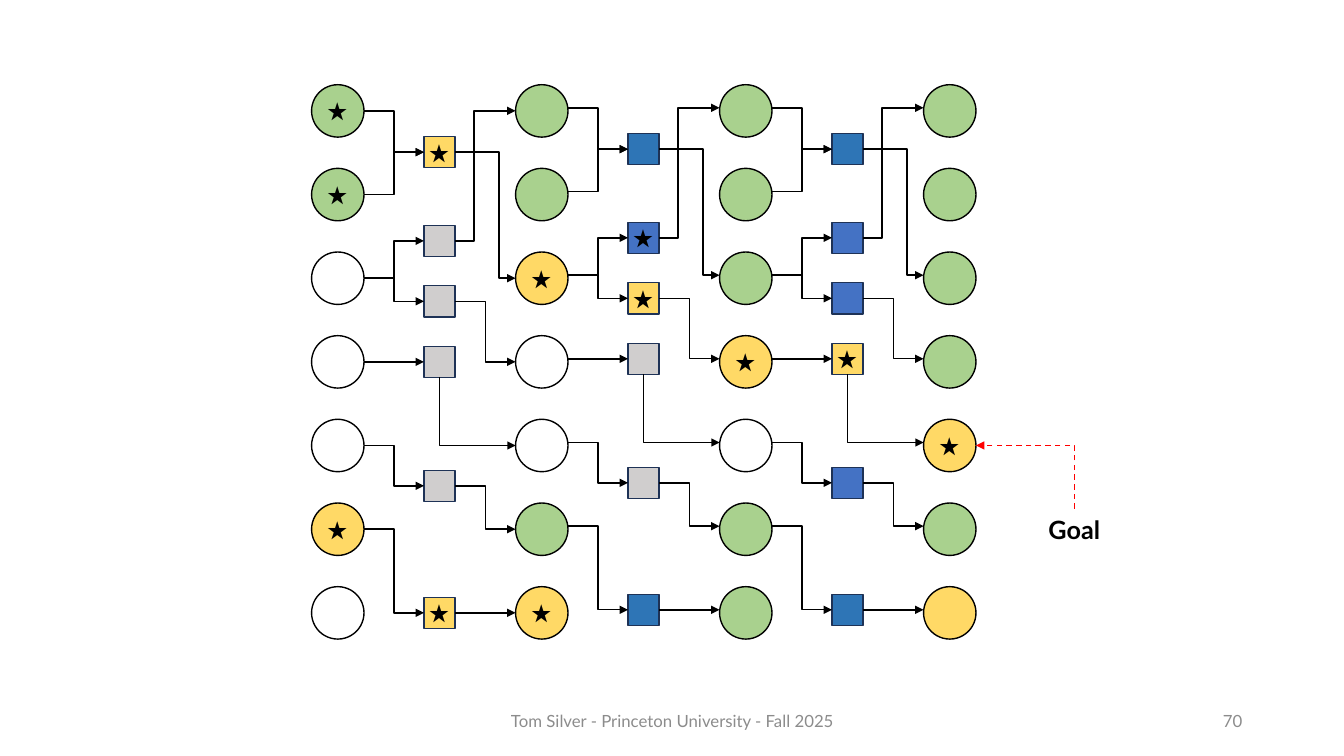
from lxml.etree import SubElement
from pptx import Presentation
from pptx.dml.color import RGBColor
from pptx.enum.dml import MSO_LINE
from pptx.enum.shapes import MSO_CONNECTOR as Link, MSO_SHAPE as Shape
from pptx.enum.text import MSO_ANCHOR as Anchor, PP_ALIGN as Align
from pptx.oxml.ns import qn
from pptx.util import Inches, Pt

BLACK = RGBColor(0x00, 0x00, 0x00)
WHITE = RGBColor(0xFF, 0xFF, 0xFF)
GREEN = RGBColor(0xA9, 0xD1, 0x8E)
YELLOW = RGBColor(0xFF, 0xD9, 0x66)
SILVER = RGBColor(0xD0, 0xCE, 0xCE)
BLUE = RGBColor(0x2E, 0x75, 0xB6)
ROYAL = RGBColor(0x44, 0x72, 0xC4)
NAVY = RGBColor(0x1E, 0x32, 0x56)
RED = RGBColor(0xFF, 0x00, 0x00)
GRAY = RGBColor(0x8C, 0x8C, 0x8C)
FILLS = {"W": WHITE, "G": GREEN, "Y": YELLOW, "S": SILVER, "B": BLUE, "R": ROYAL}

DISC, BOX = 0.52, 0.31
FACTS = [("GGWWWYW", (0, 1, 5)), ("GGYWWGY", (2, 6)),
         ("GGGYWGG", (3,)), ("GGGGYGY", (4,))]
STEPS = [("YSSSSY", (0, 5), 0), ("BRYSSB", (1, 2), 0.03), ("BRRYRB", (3,), 0.03)]
COLS = [3.35 + 6.07 * i / 3 for i in range(4)]
ROWS = [round(1.1 + 0.83 * i, 2) for i in range(7)]
MIDS = [1.51, 2.39, 2.99, 3.59, 4.82, 6.08]
NEEDS = [(0, 0), (1, 0), (2, 1), (2, 2), (3, 3), (4, 4), (5, 5)]
GIVES = [(0, 2, 0.724), (1, 0, 0.31), (2, 3, 0.5), (4, 5, 0.5), (5, 6, 0.5)]


class Board:
    """Holds the style and the slide, and draws each kind of element."""

    def __init__(self, slide):
        self.shapes = slide.shapes
        self.font = "Lato"

    def node(self, kind, x, y, size, fill, edge):
        item = self.shapes.add_shape(kind, Inches(x - size / 2), Inches(y - size / 2),
                                     Inches(size), Inches(size))
        item.shadow.inherit = False
        item.fill.solid()
        item.fill.fore_color.rgb = fill
        item.line.color.rgb = edge
        item.line.width = Pt(1)
        return item

    def text(self, words, x, y, w, size=18, font=None, color=BLACK,
             bold=False, align=Align.LEFT, wrap=False):
        box = self.shapes.add_textbox(Inches(x), Inches(y), Inches(w), Inches(0.4))
        frame = box.text_frame
        frame.word_wrap = wrap
        frame.vertical_anchor = Anchor.MIDDLE if wrap else Anchor.TOP
        para = frame.paragraphs[0]
        para.alignment = align
        run = para.add_run()
        run.text = words
        run.font.size = Pt(size)
        run.font.name = font or self.font
        run.font.bold = bold
        run.font.color.rgb = color

    def star(self, x, y):
        self.text("★", x - 0.205, y - 0.2, 0.41, font="Cambria")

    def arrow(self, kind, x1, y1, x2, y2, color=BLACK, dash=None):
        wire = self.shapes.add_connector(kind, Inches(x1), Inches(y1),
                                         Inches(x2), Inches(y2))
        wire.line.color.rgb = color
        wire.line.width = Pt(1)
        if dash:
            wire.line.dash_style = dash
        SubElement(wire.line._get_or_add_ln(), qn("a:tailEnd"), type="triangle")
        SubElement(wire.element.spPr, qn("a:effectLst"))
        return wire

    def bend(self, x1, y1, x2, y2, part=0.5):
        wire = self.arrow(Link.ELBOW, x1, y1, x2, y2)
        guides = wire.element.spPr.prstGeom.get_or_add_avLst()
        SubElement(guides, qn("a:gd"), name="adj1", fmla=f"val {round(part * 100000)}")

    def turn(self, x1, y1, x2, y2, color=BLACK, dash=None):
        x, y = (x1 + x2) / 2, (y1 + y2) / 2
        dx, dy = (x2 - x1) / 2, (y2 - y1) / 2
        wire = self.arrow(Link.ELBOW, x + dy, y - dx, x - dy, y + dx, color, dash)
        props = wire.element.spPr
        props.xfrm.set("rot", str(270 * 60000))
        props.prstGeom.set("prst", "bentConnector2")

    def stage(self, left, right, fills, stars, lift):
        x = left + 1.01
        start, stop = left + DISC / 2, right - DISC / 2
        near, far = x - BOX / 2, x + BOX / 2
        rows = [y - lift for y in ROWS]
        mids = [y - lift for y in MIDS]
        boxes = [self.node(Shape.RECTANGLE, x, y, BOX, FILLS[key], NAVY)
                 for key, y in zip(fills, mids)]
        for row, mid in NEEDS:
            ends = start, rows[row], near, mids[mid]
            if rows[row] == mids[mid]:
                self.arrow(Link.STRAIGHT, *ends).end_connect(boxes[mid], 1)
            else:
                self.bend(*ends)
        for mid, row, part in GIVES:
            ends = far, mids[mid], stop, rows[row]
            if rows[row] == mids[mid]:
                self.arrow(Link.STRAIGHT, *ends).begin_connect(boxes[mid], 3)
            else:
                self.bend(*ends, part)
        self.turn(x, mids[3] + BOX / 2, stop, rows[4])
        for i in stars:
            self.star(x, mids[i])


def main():
    deck = Presentation()
    deck.slide_width, deck.slide_height = Inches(13.33), Inches(7.5)
    board = Board(deck.slides.add_slide(deck.slide_layouts[6]))
    board.text("Tom Silver - Princeton University - Fall 2025", 4.42, 6.95, 4.5,
               size=12, color=GRAY, align=Align.CENTER, wrap=True)
    board.text("70", 9.42, 6.95, 3, size=12, color=GRAY, align=Align.RIGHT, wrap=True)
    for x, (fills, stars) in zip(COLS, FACTS):
        for key, y in zip(fills, ROWS):
            board.node(Shape.OVAL, x, y, DISC, FILLS[key], BLACK)
        for i in stars:
            board.star(x, ROWS[i])
    for left, right, step in zip(COLS, COLS[1:], STEPS):
        board.stage(left, right, *step)
    board.text("Goal", 10.3, 5.05, 0.73, bold=True)
    board.turn(10.66, 5.05, COLS[3] + DISC / 2, ROWS[4], RED, MSO_LINE.DASH)
    deck.save("out.pptx")


if __name__ == "__main__":
    main()
